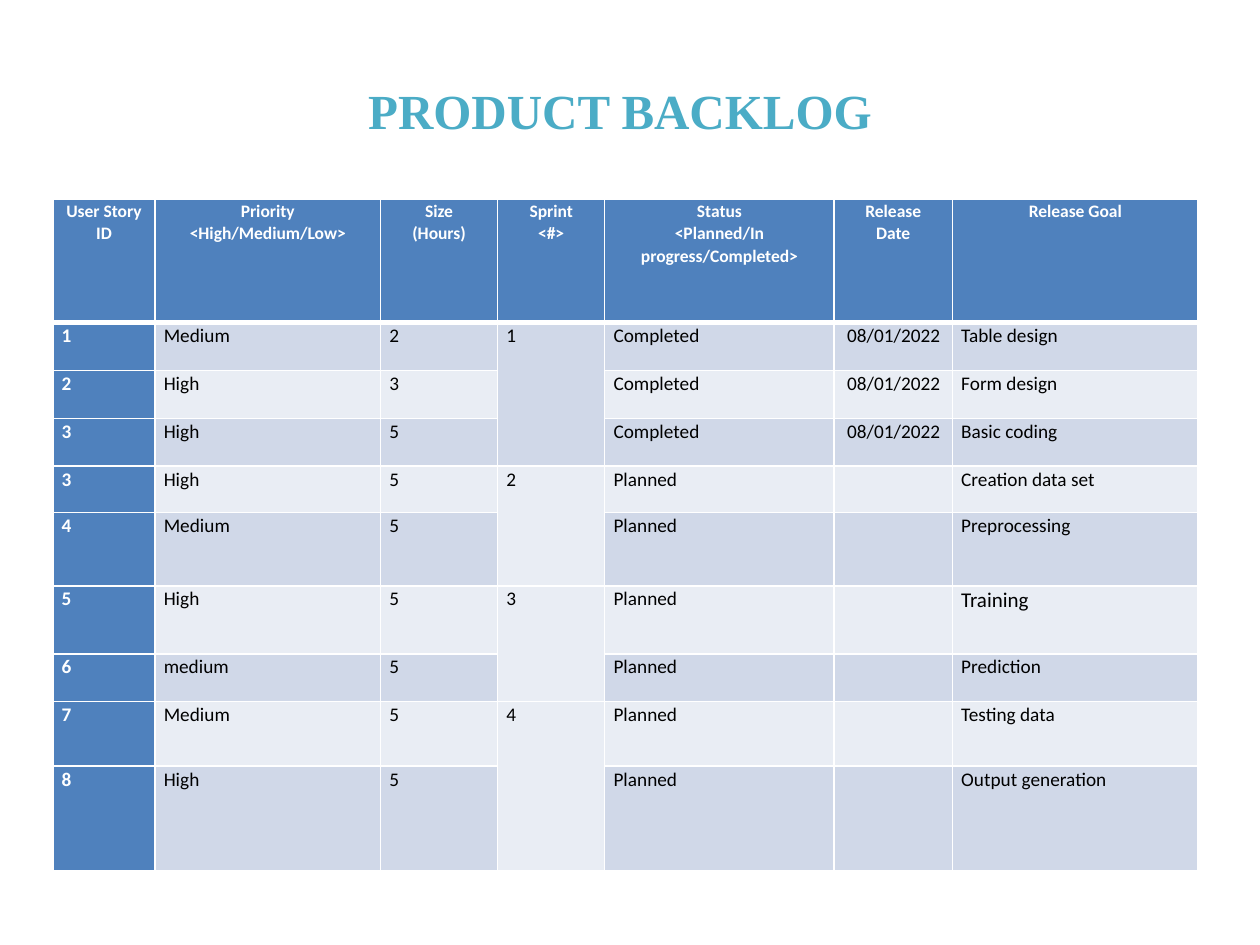
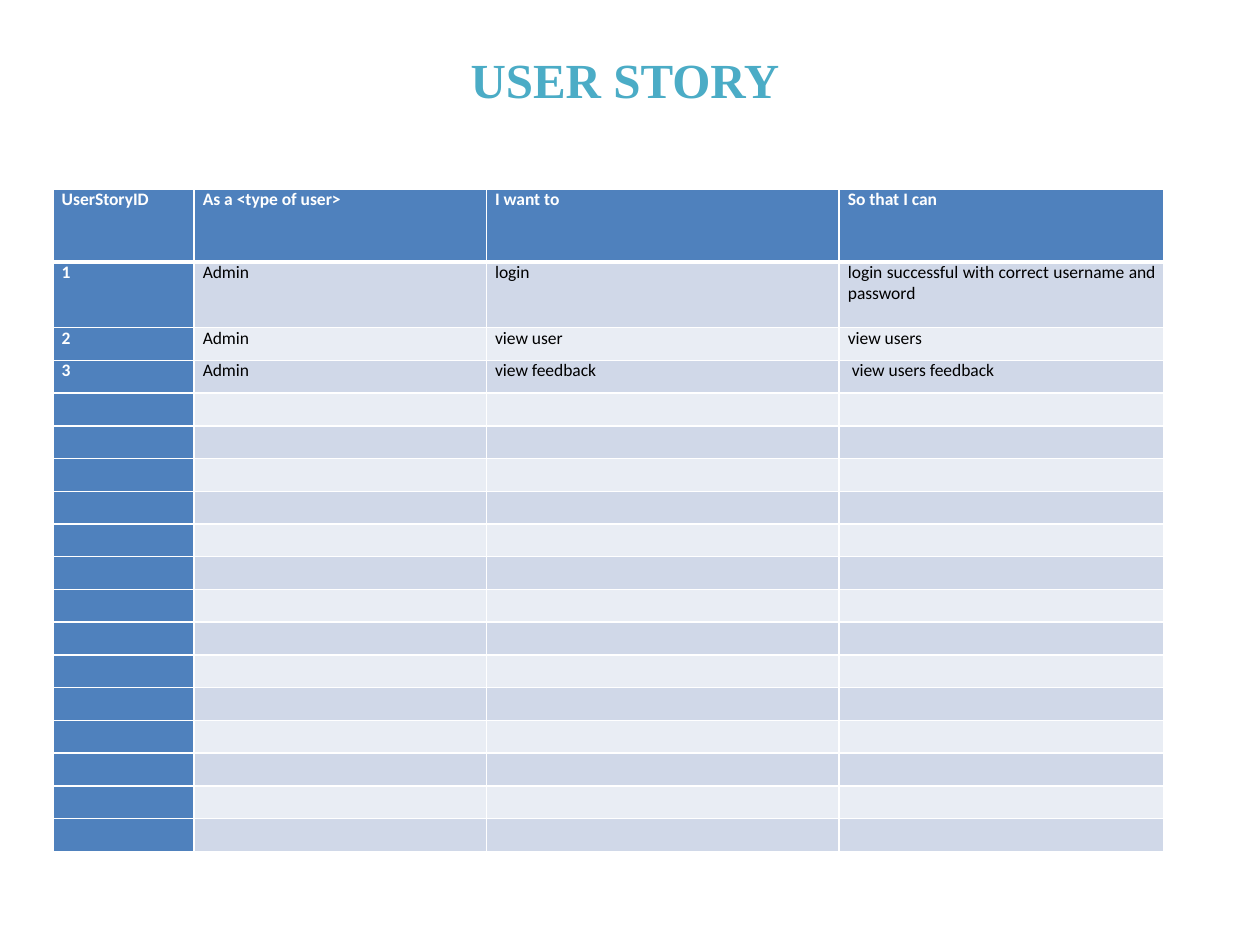
from dataclasses import dataclass

from lxml import etree
from pptx import Presentation
from pptx.dml.color import RGBColor
from pptx.enum.text import MSO_ANCHOR, PP_ALIGN
from pptx.oxml.ns import qn
from pptx.util import Inches, Pt

CENTER, JUSTIFY, LEFT = PP_ALIGN.CENTER, PP_ALIGN.JUSTIFY, PP_ALIGN.LEFT
MIDDLE = MSO_ANCHOR.MIDDLE


@dataclass(frozen=True)
class Theme:
    title_color: str = "4BACC6"
    header_fill: str = "4F81BD"
    band_fills: tuple = ("E9EDF4", "D0D8E8")
    white: str = "FFFFFF"
    black: str = "000000"
    title_font: str = "Times New Roman"
    body_font: str = "Calibri"
    title_size: int = 28
    small_size: int = 10
    body_size: int = 11
    large_size: int = 12
    side_margin: float = 0.07
    thin_border: int = 1
    thick_border: int = 3


THEME = Theme()


def style_font(font, name, size, color, bold):
    font.name = name
    font.size = Pt(size)
    font.bold = bold
    font.color.rgb = RGBColor.from_string(color)


def add_border(cell, side, width):
    """Draw a white border on one side (L, R, T or B) of a cell."""
    properties = cell._tc.get_or_add_tcPr()
    line = etree.SubElement(properties, qn(f"a:ln{side}"), w=str(Pt(width)))
    fill = etree.SubElement(line, qn("a:solidFill"))
    etree.SubElement(fill, qn("a:srgbClr"), val=THEME.white)


backlog_rows = [
    ["User Story ID", "Priority\n<High/Medium/Low>", "Size\n(Hours)", "Sprint\n<#>",
     "Status\n<Planned/In progress/Completed>", "Release\nDate", "Release Goal"],
    ["1", "Medium", "2", "1", "Completed", " 08/01/2022", "Table design"],
    ["2", "High", "3", "", "Completed", " 08/01/2022", "Form design"],
    ["3", "High", "5", "", "Completed", " 08/01/2022", "Basic coding"],
    ["3", "High", "5", "2", "Planned", "", "Creation data set"],
    ["4", "Medium", "5", "", "Planned", "", "Preprocessing"],
    ["5", "High", "5", "3", "Planned", "", "Training"],
    ["6", "medium", "5", "", "Planned", "", "Prediction"],
    ["7", "Medium", "5", "4", "Planned", "", "Testing data"],
    ["8", "High", "5", "", "Planned", "", "Output generation"],
]
story_rows = [
    ["UserStoryID", "As a <type of user>", "I want to", "So that I can"],
    ["1", "Admin", "login", "login successful with correct username and password"],
    ["2", "Admin", "view user", "view users"],
    ["3", "Admin", "view feedback", " view users feedback"],
] + [[""] * 4 for _ in range(14)]

pages = [
    dict(
        title="PRODUCT BACKLOG", title_box=(0.42, 0.25, 9, 1.25), table_top=1.58,
        rows=backlog_rows,
        widths=[0.81, 1.79, 0.93, 0.85, 1.82, 0.94, 1.95],
        heights=[0.98, 0.38, 0.38, 0.38, 0.37, 0.58, 0.54, 0.38, 0.51, 0.83],
        header_align=CENTER, body_align=LEFT, line_spacing=1.07,
        body_size=THEME.body_size, large_words=["Training"],
        merges=[(1, 3), (4, 5), (6, 7), (8, 9)],
    ),
    dict(
        title="USER STORY", title_box=(2.75, 0, 4.42, 1.25), table_top=1.5,
        rows=story_rows,
        widths=[1.12, 2.32, 2.8, 2.58],
        heights=[0.58, 0.52] + [0.26] * 16,
        header_align=JUSTIFY, body_align=JUSTIFY, line_spacing=1.0,
        body_size=THEME.small_size, large_words=[],
        merges=[],
    ),
]
TABLE_LEFT = 0.42
SPRINT_COLUMN = 3

deck = Presentation()
deck.slide_width, deck.slide_height = Inches(10), Inches(7.5)
title_only = deck.slide_layouts[5]

for page in pages:
    slide = deck.slides.add_slide(title_only)
    title = slide.shapes.title
    title.left, title.top, title.width, title.height = map(Inches, page["title_box"])
    title.text_frame.text = page["title"]
    title.text_frame.vertical_anchor = MIDDLE
    heading = title.text_frame.paragraphs[0]
    heading.alignment = CENTER
    style_font(heading.runs[0].font, THEME.title_font, THEME.title_size,
               THEME.title_color, True)

    rows, widths, heights = page["rows"], page["widths"], page["heights"]
    table = slide.shapes.add_table(
        len(rows), len(widths), Inches(TABLE_LEFT), Inches(page["table_top"]),
        Inches(sum(widths)), Inches(sum(heights))).table
    table.horz_banding = False
    for column, width in zip(table.columns, widths):
        column.width = Inches(width)
    for row, height in zip(table.rows, heights):
        row.height = Inches(height)

    for row_index, row_texts in enumerate(rows):
        is_header = row_index == 0
        for column_index, text in enumerate(row_texts):
            is_accent = is_header or column_index == 0
            cell = table.cell(row_index, column_index)
            cell.margin_left = cell.margin_right = Inches(THEME.side_margin)
            cell.margin_top = cell.margin_bottom = 0

            borders = dict.fromkeys("LRTB", THEME.thin_border)
            if is_header:
                borders["B"] = THEME.thick_border
            elif row_index == 1:
                borders["T"] = THEME.thick_border
            for side, border_width in borders.items():
                add_border(cell, side, border_width)
            fill_color = THEME.header_fill if is_accent else THEME.band_fills[row_index % 2]
            cell.fill.solid()
            cell.fill.fore_color.rgb = RGBColor.from_string(fill_color)

            size = THEME.small_size if is_header else page["body_size"]
            if text in page["large_words"]:
                size = THEME.large_size
            cell.text_frame.text = text
            for paragraph in cell.text_frame.paragraphs:
                paragraph.alignment = page["header_align" if is_header else "body_align"]
                paragraph.line_spacing = page["line_spacing"]
                for span in paragraph.runs:
                    style_font(span.font, THEME.body_font, size,
                               THEME.white if is_accent else THEME.black, is_accent)
                if not paragraph.runs:
                    # An empty cell takes its line height from the end mark
                    etree.SubElement(paragraph._p, qn("a:endParaRPr"), sz=str(size * 100))

    for first_row, last_row in page["merges"]:
        table.cell(first_row, SPRINT_COLUMN).merge(table.cell(last_row, SPRINT_COLUMN))

deck.save("out.pptx")
